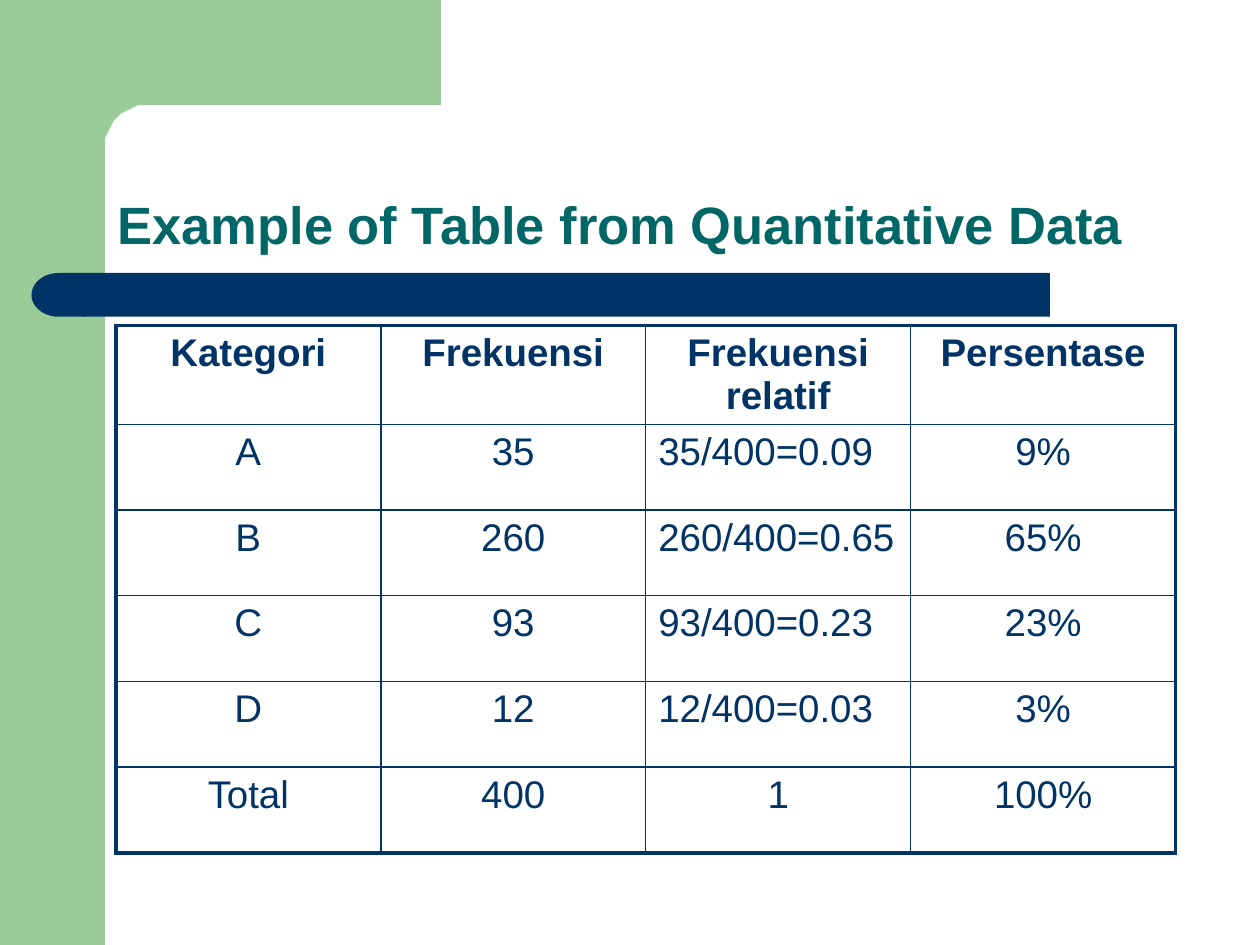
"""Build a slide with a frequency table for quantitative data."""
from math import cos, pi, sin

from lxml.etree import SubElement
from pptx import Presentation
from pptx.dml.color import RGBColor
from pptx.enum.shapes import MSO_SHAPE as SHAPE
from pptx.enum.text import MSO_ANCHOR as ANCHOR, MSO_AUTO_SIZE as AUTO, PP_ALIGN as ALIGN
from pptx.oxml.ns import qn
from pptx.util import Pt

GREEN = RGBColor(0x99, 0xCC, 0x99)
NAVY = RGBColor(0x00, 0x33, 0x66)
TEAL = RGBColor(0x00, 0x66, 0x66)

TITLE_FONT = {"name": "Arial", "size": Pt(30), "bold": True}
HEAD_FONT = {"name": "Arial", "size": Pt(22), "bold": True}
BODY_FONT = {**HEAD_FONT, "bold": False}
THICK, THIN = 2.25, 1

ROWS = [
    ("Kategori", "Frekuensi", "Frekuensi relatif", "Persentase"),
    ("A", "35", "35/400=0.09", "9%"),
    ("B", "260", "260/400=0.65", "65%"),
    ("C", "93", "93/400=0.23", "23%"),
    ("D", "12", "12/400=0.03", "3%"),
    ("Total", "400", "1", "100%"),
]


def paint(s, color):
    """Give a shape a plain fill without line or shadow."""
    s.fill.solid()
    s.fill.fore_color.rgb = color
    s.line.fill.background()
    s.shadow.inherit = False


def add_block(slide, kind, box, color):
    """Add a filled preset shape in a box given in points."""
    s = slide.shapes.add_shape(kind, *map(Pt, box))
    paint(s, color)
    return s


def add_corner(slide):
    """Add the green top band with its rounded inner corner."""
    center, radius, steps = 84, 24, 16
    angles = [pi / 2 * i / steps for i in range(steps + 1)]
    arc = [(center - radius * sin(a), center - radius * cos(a)) for a in angles]
    points = [(252, 60), *arc, (60, 92), (36, 92), (36, 0)]
    builder = slide.shapes.build_freeform(252, 0, scale=Pt(1))
    builder.add_line_segments(points, close=True)
    paint(builder.convert_to_shape(), GREEN)


def set_text(p, text, font, color):
    """Write one formatted run into a paragraph."""
    r = p.add_run()
    r.text = text
    for name, value in font.items():
        setattr(r.font, name, value)
    r.font.color.rgb = color


def add_title(slide, text):
    """Place and format the title placeholder."""
    s = slide.shapes.title
    s.left, s.top, s.width, s.height = map(Pt, (60, 60, 624, 90))
    tf = s.text_frame
    tf.word_wrap, tf.auto_size = True, AUTO.NONE
    tf.vertical_anchor = ANCHOR.BOTTOM
    p = tf.paragraphs[0]
    p.alignment, p.line_spacing = ALIGN.LEFT, 0.9
    set_text(p, text, TITLE_FONT, TEAL)


def set_borders(cell, widths):
    """Draw the cell borders with a width in points for each side."""
    tc_pr = cell._tc.get_or_add_tcPr()
    for side, width in widths.items():
        line = SubElement(tc_pr, qn(f"a:ln{side}"), w=str(Pt(width)))
        fill = SubElement(line, qn("a:solidFill"))
        SubElement(fill, qn("a:srgbClr"), val=str(NAVY))


def add_table(slide, rows):
    """Add the frequency table with a thick outer frame."""
    last_row, last_col = len(rows) - 1, len(rows[0]) - 1
    box = map(Pt, (66.2, 186, 605.6, 294))
    table = slide.shapes.add_table(len(rows), len(rows[0]), *box).table
    table.first_row = table.horz_banding = False
    for i, row in enumerate(rows):
        for j, text in enumerate(row):
            cell = table.cell(i, j)
            outer = {"L": j == 0, "R": j == last_col, "T": i == 0, "B": i == last_row}
            set_borders(cell, {k: THICK if v else THIN for k, v in outer.items()})
            cell.fill.background()
            p = cell.text_frame.paragraphs[0]
            p.alignment = ALIGN.LEFT if "=" in text else ALIGN.CENTER
            set_text(p, text, BODY_FONT if i else HEAD_FONT, NAVY)


def main():
    """Build and save the slide."""
    prs = Presentation()
    prs.slide_width, prs.slide_height = Pt(720), Pt(540)
    slide = prs.slides.add_slide(prs.slide_layouts[5])
    add_block(slide, SHAPE.RECTANGLE, (0, 0, 60, 540), GREEN)
    add_corner(slide)
    add_block(slide, SHAPE.RECTANGLE, (48, 156, 552, 25), NAVY)
    cap = add_block(slide, SHAPE.FLOWCHART_DELAY, (18, 156, 31, 25), NAVY)
    cap.rotation = 180
    add_title(slide, "Example of Table from Quantitative Data")
    add_table(slide, ROWS)
    prs.save("out.pptx")


if __name__ == "__main__":
    main()
